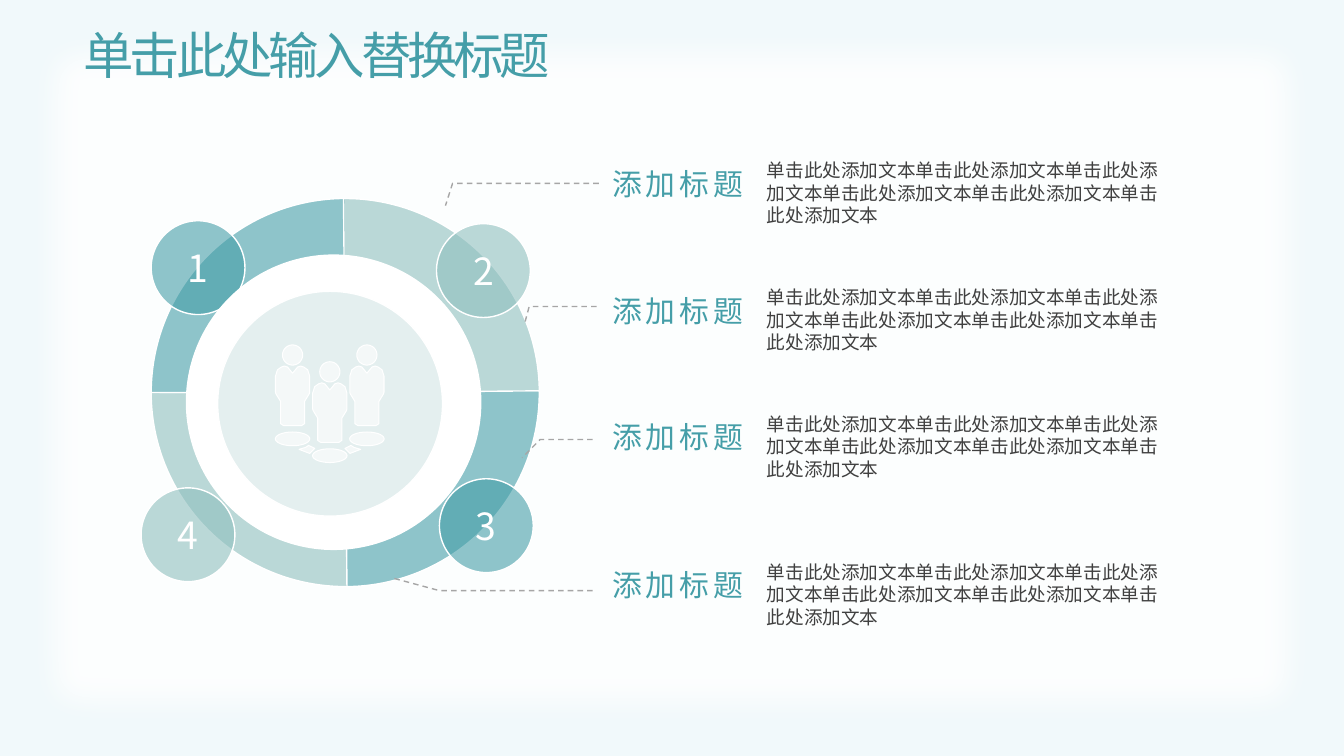
from math import cos, pi, sin

from lxml.etree import SubElement
from pptx import Presentation
from pptx.dml.color import RGBColor
from pptx.enum.dml import MSO_LINE
from pptx.enum.shapes import MSO_SHAPE
from pptx.enum.text import MSO_ANCHOR, MSO_AUTO_SIZE, PP_ALIGN
from pptx.oxml.ns import qn
from pptx.util import Pt

COLORS = {
    "back": "F1F9FB",
    "white": "FFFFFF",
    "teal": "459EA8",
    "sage": "8FBFBE",
    "pale": "D2E5E5",
    "text": "404040",
    "gray": "A6A6A6",
}
SANS = "Noto Sans CJK SC"
BODY = "单击此处添加文本" * 6
TONES = ["teal", "sage", "teal", "sage"]
BADGES = [(108, 157.7), (311.8, 159.8), (313.9, 342), (100.8, 348.5)]
ROWS = [114.5, 205.2, 295.9, 401.6]
LEADS = [
    [(427.7, 131), (323.3, 131), (318.2, 146.9)],
    [(426.2, 218.9), (378, 218.9), (375.1, 229.7)],
    [(423.4, 313.9), (385.9, 313.9), (373, 326.9)],
    [(423.4, 421.9), (313.9, 421.9), (279.4, 412.6)],
]
# Offsets from the centre of a person's head
HEADS = [(209, 253.6), (235.6, 265.6), (262.1, 253.6)]
HALF = [(0, 13), (3.6, 8.6), (5.8, 7.9), (8, 8.6), (10.8, 10.6), (12.2, 15.1),
        (12.2, 26.6), (11.9, 27.7), (8.6, 33.1), (8.6, 49), (6.5, 50.4)]
WEDGE = [(15.1, 52.6), (17.3, 54), (22, 55.4), (14.4, 58.3), (10.8, 54.7)]


def color(name):
    return RGBColor.from_string(COLORS[name])


def paint(shape, fill=None, alpha=100, line=None, width=1):
    """Set fill, opacity in percent and outline, without shadow."""
    shape.shadow.inherit = False
    if fill:
        shape.fill.solid()
        shape.fill.fore_color.rgb = color(fill)
        if alpha < 100:
            tint = shape.fill._xPr.find(qn("a:solidFill"))[0]
            SubElement(tint, qn("a:alpha"), val=str(alpha * 1000))
    else:
        shape.fill.background()
    if line:
        shape.line.color.rgb = color(line)
        shape.line.width = Pt(width)
    else:
        shape.line.fill.background()


def write(frame, text, size, tone, font=SANS, align=PP_ALIGN.LEFT, space=0):
    """Put one formatted paragraph in a text frame; space is tracking in points."""
    para = frame.paragraphs[0]
    para.alignment = align
    run = para.add_run()
    run.text = text
    run.font.size = Pt(size)
    run.font.name = font
    run.font.color.rgb = color(tone)
    props = run.font._element
    SubElement(props, qn("a:ea"), typeface=font)
    if space:
        props.set("spc", str(space * 100))
    return para


def add_box(slide, x, y, w, h, text, wrap=True, **style):
    frame = slide.shapes.add_textbox(Pt(x), Pt(y), Pt(w), Pt(h)).text_frame
    frame.word_wrap = wrap
    frame.auto_size = MSO_AUTO_SIZE.SHAPE_TO_FIT_TEXT
    write(frame, text, **style)


def add_form(slide, kind, x, y, w, h, **look):
    shape = slide.shapes.add_shape(kind, Pt(x), Pt(y), Pt(w), Pt(h))
    paint(shape, **look)
    return shape


def add_outline(slide, paths, close, **look):
    """Draw one freeform from one or more lists of points."""
    pts = [[(Pt(x), Pt(y)) for x, y in path] for path in paths]
    pen = slide.shapes.build_freeform(*pts[0][0])
    for i, path in enumerate(pts):
        if i:
            pen.move_to(*path[0])
        pen.add_line_segments(path[1:], close=close)
    shape = pen.convert_to_shape()
    paint(shape, **look)
    return shape


def oval(x, y, rx, ry, steps=36):
    turns = [2 * pi * i / steps for i in range(steps)]
    return [(x + rx * cos(t), y + ry * sin(t)) for t in turns]


def shift(points, x, y, side=1):
    """Move points to x, y; side -1 mirrors them."""
    return [(x + side * dx, y + dy) for dx, dy in points]


def add_panel(slide):
    panel = add_form(slide, MSO_SHAPE.RECTANGLE, 7.9, 7.9, 944, 525,
                     fill="white", alpha=85)
    effects = panel._element.spPr.find(qn("a:effectLst"))
    SubElement(effects, qn("a:softEdge"), rad=str(Pt(25)))
    slide.shapes._spTree.insert(2, panel._element)


def add_title(slide, text):
    title = slide.shapes.title
    title.left, title.top = Pt(52.6), Pt(18)
    title.width, title.height = Pt(828), Pt(46.8)
    frame = title.text_frame
    frame.auto_size = MSO_AUTO_SIZE.NONE
    frame.vertical_anchor = MSO_ANCHOR.MIDDLE
    para = write(frame, text, 36, "teal", font="Noto Sans CJK JP", space=-3)
    para.line_spacing = 0.9


def add_wheel(slide):
    for i, tone in enumerate(TONES):
        pie = add_form(slide, MSO_SHAPE.PIE, 108, 141.8, 277.2, 277.2,
                       fill=tone, alpha=60, line="white")
        pie.adjustments[0] = 107.69
        pie.adjustments[1] = 162
        pie.rotation = 90 * i
    for i, (x, y) in enumerate(BADGES):
        badge = add_form(slide, MSO_SHAPE.OVAL, x, y, 67, 67,
                         fill=TONES[i], alpha=60, line="white")
        frame = badge.text_frame
        frame.margin_left = frame.margin_right = Pt(9.6)
        frame.margin_top = frame.margin_bottom = Pt(4.8)
        frame.vertical_anchor = MSO_ANCHOR.MIDDLE
        write(frame, str(i + 1), 26.7, "white", align=PP_ALIGN.CENTER)


def add_hub(slide):
    add_form(slide, MSO_SHAPE.OVAL, 133.2, 182.2, 210.2, 210.2,
             fill="white", line="white")
    add_form(slide, MSO_SHAPE.OVAL, 155.5, 208.1, 160.6, 160.6,
             fill="pale", alpha=60, line="white")
    body = HALF + [(-x, y) for x, y in reversed(HALF[1:])]
    paths = [shift(WEDGE, *HEADS[1], side) for side in (1, -1)]
    for x, y in HEADS:
        paths += [oval(x, y, 7.2, 7.2), shift(body, x, y),
                  oval(x, y + 59.9, 12.3, 4.9)]
    add_outline(slide, paths, True, fill="white", alpha=60,
                line="white", width=0.75)


def main():
    deck = Presentation()
    deck.slide_width, deck.slide_height = Pt(960), Pt(540)
    slide = deck.slides.add_slide(deck.slide_layouts[5])
    slide.background.fill.solid()
    slide.background.fill.fore_color.rgb = color("back")
    add_panel(slide)
    add_title(slide, "单击此处输入替换标题")
    add_wheel(slide)
    for y, lead in zip(ROWS, LEADS):
        add_box(slide, 427.7, y, 113, 33.1, "添加标题", wrap=False, size=21.3,
                tone="teal", align=PP_ALIGN.CENTER, space=3)
        add_box(slide, 540.7, y - 4.4, 304.6, 55.4, BODY, size=13.3, tone="text")
        leader = add_outline(slide, [lead], False, line="gray")
        leader.line.dash_style = MSO_LINE.DASH
    add_hub(slide)
    deck.save("out.pptx")


if __name__ == "__main__":
    main()
